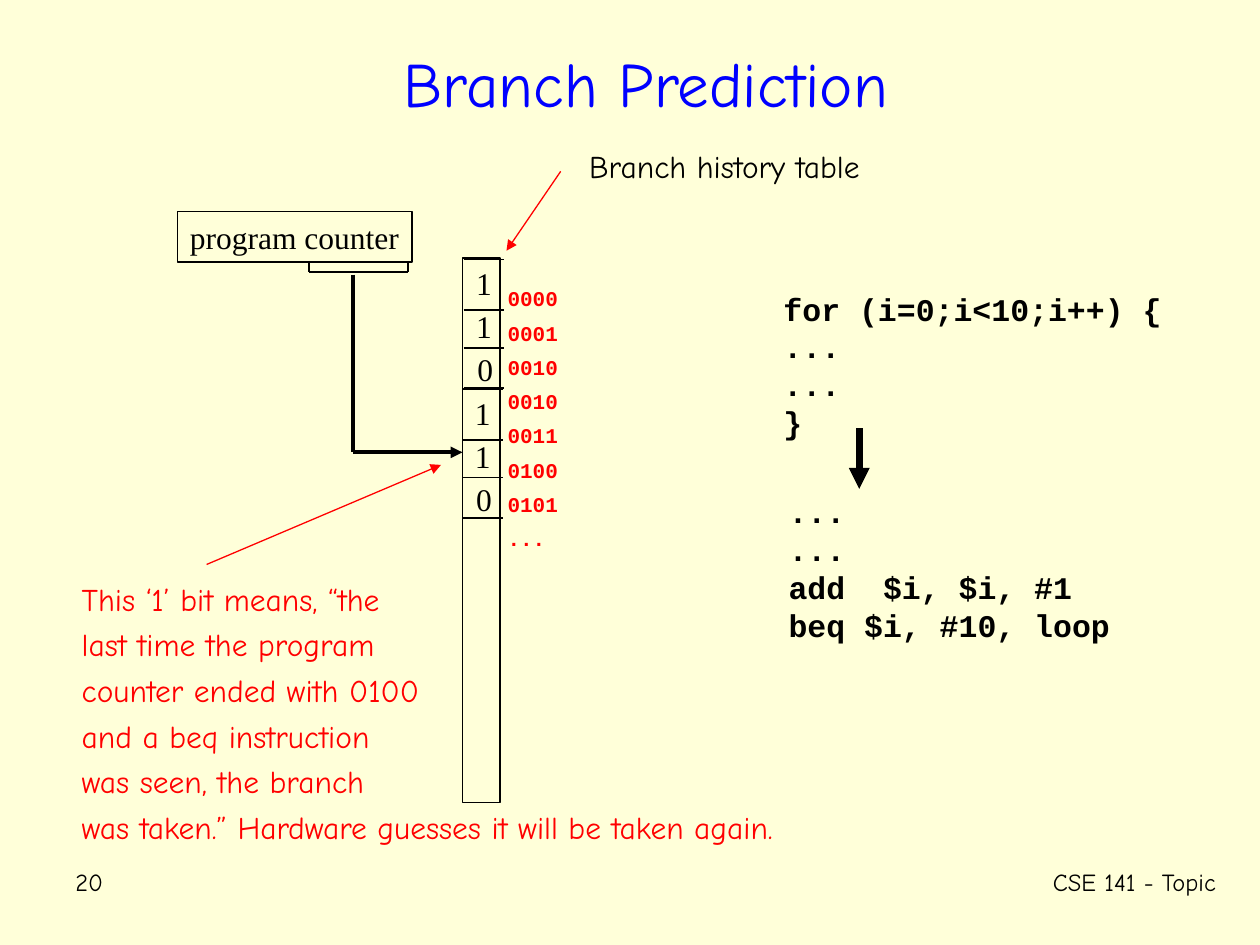
from pptx import Presentation
from pptx.dml.color import RGBColor
from pptx.enum.shapes import MSO_CONNECTOR, MSO_SHAPE
from pptx.enum.text import MSO_ANCHOR, MSO_AUTO_SIZE, PP_ALIGN
from pptx.oxml.ns import qn
from pptx.util import Inches, Pt
from lxml.etree import SubElement

COLUMNS, ROWS = 10, 7.5
UNIT = Inches(1)
PAPER, BLACK, RED, BLUE = "FFFFD9", "000000", "FF0000", "0000FF"
HAND, CODE, SERIF = "Comic Neue", "Courier New", "Times New Roman"
LABEL = {"word_wrap": False, "auto_size": MSO_AUTO_SIZE.SHAPE_TO_FIT_TEXT}
WRAPPED = {"word_wrap": True}


def color(value):
    """Turn a hex string into a colour."""
    return RGBColor.from_string(value)


def grid(*lengths):
    """Turn columns and rows of the slide grid into lengths."""
    return [round(length * UNIT) for length in lengths]


def apply(target, formats):
    """Set each format value on its target."""
    for name, value in formats.items():
        setattr(target, name, value)


def write(frame, lines, font, size, ink=BLACK, bold=False, layout=LABEL, **spacing):
    """Fill a text frame with one paragraph for each line."""
    apply(frame, {"vertical_anchor": MSO_ANCHOR.TOP, **layout})
    frame.text = "\n".join(lines)
    for paragraph in frame.paragraphs:
        apply(paragraph, {"alignment": PP_ALIGN.LEFT, **spacing})
        for run in paragraph.runs:
            apply(run.font, {"name": font, "size": Pt(size), "bold": bold})
            run.font.color.rgb = color(ink)


def add_label(slide, box, lines, font, size, **formats):
    """Place a text box in the given box."""
    write(slide.shapes.add_textbox(*grid(*box)).text_frame, lines, font, size, **formats)


def add_line(slide, start, end, width=1, ink=BLACK, arrow=False):
    """Draw a straight line, with an arrowhead at its end if asked."""
    line = slide.shapes.add_connector(MSO_CONNECTOR.STRAIGHT, *grid(*start, *end))
    line.line.width = Pt(width)
    line.line.color.rgb = color(ink)
    if arrow:
        SubElement(line.line._get_or_add_ln(), qn("a:tailEnd"), type="triangle")
    SubElement(line._element.spPr, qn("a:effectLst"))


def add_outline(slide, box):
    """Draw an unfilled rectangle with a black outline."""
    outline = slide.shapes.add_shape(MSO_SHAPE.RECTANGLE, *grid(*box))
    outline.shadow.inherit = False
    outline.fill.background()
    outline.line.color.rgb = color(BLACK)
    outline.line.width = Pt(1)
    return outline


def add_title(slide, box):
    """Move the title placeholder into its box and format it."""
    title = slide.shapes.title
    apply(title, dict(zip(("left", "top", "width", "height"), grid(*box))))
    write(title.text_frame, ["Branch Prediction"], HAND, 36, ink=BLUE,
          layout={**WRAPPED, "vertical_anchor": MSO_ANCHOR.MIDDLE},
          alignment=PP_ALIGN.CENTER, line_spacing=0.85)


def add_history_table(slide, box):
    """Draw the table of two groups of three bits, its addresses and its caption."""
    left, top, width, height = box
    add_outline(slide, box)
    for group in range(2):
        x, y = left + 0.01 * (1 - group), top + 1.03 * group
        for index, bit in enumerate("110"):
            add_label(slide, (x + 0.01 * (index - 1) * (index > 1), y + 0.34 * index, 0.32, 0.4),
                      [bit], SERIF, 18)
        for rule in (0.01, 0.41, 0.71, 1.03):
            add_line(slide, (x, y + rule), (x + 0.32, y + rule))
    addresses = ["0000", "0001", "0010", "0010", "0011", "0100", "0101", "..."]
    add_label(slide, (left + 0.26, top + 0.14, 0.6, 2.23), addresses, CODE, 12,
              ink=RED, bold=True, line_spacing=1.15, space_before=Pt(3))
    add_label(slide, (left + 0.9, top - 0.93, 2.36, 0.4), ["Branch history table"], HAND, 18,
              alignment=PP_ALIGN.CENTER, space_before=Pt(4.5))
    add_line(slide, (left + 0.78, top - 0.69), (left + 0.35, top - 0.06), 0.75, RED, arrow=True)


def add_program_counter(slide, box, entry):
    """Draw the counter, the bracket on its low bits and the path to a table entry."""
    left, top, width, height = box
    write(add_outline(slide, box).text_frame, ["program counter"], SERIF, 18)
    first, last, upper = left + 1.04, left + width - 0.03, top + height - 0.01
    lower = upper + 0.09
    for x in (first, last):
        add_line(slide, (x, upper), (x, lower))
    add_line(slide, (first, lower), (last, lower))
    corner = (left + 1.39, entry[1])
    add_line(slide, (corner[0], lower + 0.02), corner, 2.25)
    add_line(slide, corner, entry, 2.25, arrow=True)


def add_code(slide, box):
    """Place the loop above the assembly that it compiles to."""
    left, top, width, height = box
    add_label(slide, (left, top, width, 1.3),
              ["for (i=0;i<10;i++) {", "...", "...", "}"], CODE, 18, bold=True)
    add_label(slide, (left + 0.04, top + height - 1.3, 2.75, 1.3),
              ["...", "...", "add  $i, $i, #1", "beq $i, #10, loop"], CODE, 18, bold=True)
    add_line(slide, (left + 0.7, top + 1.15), (left + 0.7, top + 1.63), 4, arrow=True)


def add_explanation(slide, box, target):
    """Explain the marked bit and point to it."""
    left, top, width, height = box
    add_label(slide, box, [
        "This ‘1’ bit means, “the",
        "last time the program",
        "counter ended with 0100",
        "and a beq instruction",
        "was seen, the branch",
        "was taken.” Hardware guesses it will be taken again.",
    ], HAND, 18, ink=RED, space_before=Pt(4.5))
    add_line(slide, (left + 1.09, top - 0.07), target, 0.75, RED, arrow=True)


def add_footer(slide, box):
    """Place the slide number at the left and the course at the right."""
    left, top, width, height = box
    formats = {"layout": WRAPPED, "space_before": Pt(3.5)}
    add_label(slide, (left, top, 2.08, height), ["20"], HAND, 14, **formats)
    add_label(slide, (left + width - 5.86, top, 5.86, height), ["CSE 141 - Topic"], HAND, 14,
              alignment=PP_ALIGN.RIGHT, **formats)


def main():
    """Build and save the slide."""
    deck = Presentation()
    deck.slide_width, deck.slide_height = grid(COLUMNS, ROWS)
    slide = deck.slides.add_slide(deck.slide_layouts[5])
    slide.background.fill.solid()
    slide.background.fill.fore_color.rgb = color(PAPER)
    add_title(slide, (0.5, 0.17, 9.25, 1.06))
    add_history_table(slide, (3.67, 2.05, 0.3, 4.32))
    add_program_counter(slide, (1.41, 1.68, 1.86, 0.4), entry=(3.67, 3.59))
    add_code(slide, (6.12, 2.25, 3.2, 2.91))
    add_explanation(slide, (0.55, 4.55, 5.73, 2.22), target=(3.5, 3.69))
    add_footer(slide, (0.5, 6.83, 9.25, 0.5))
    deck.save("out.pptx")


if __name__ == "__main__":
    main()
